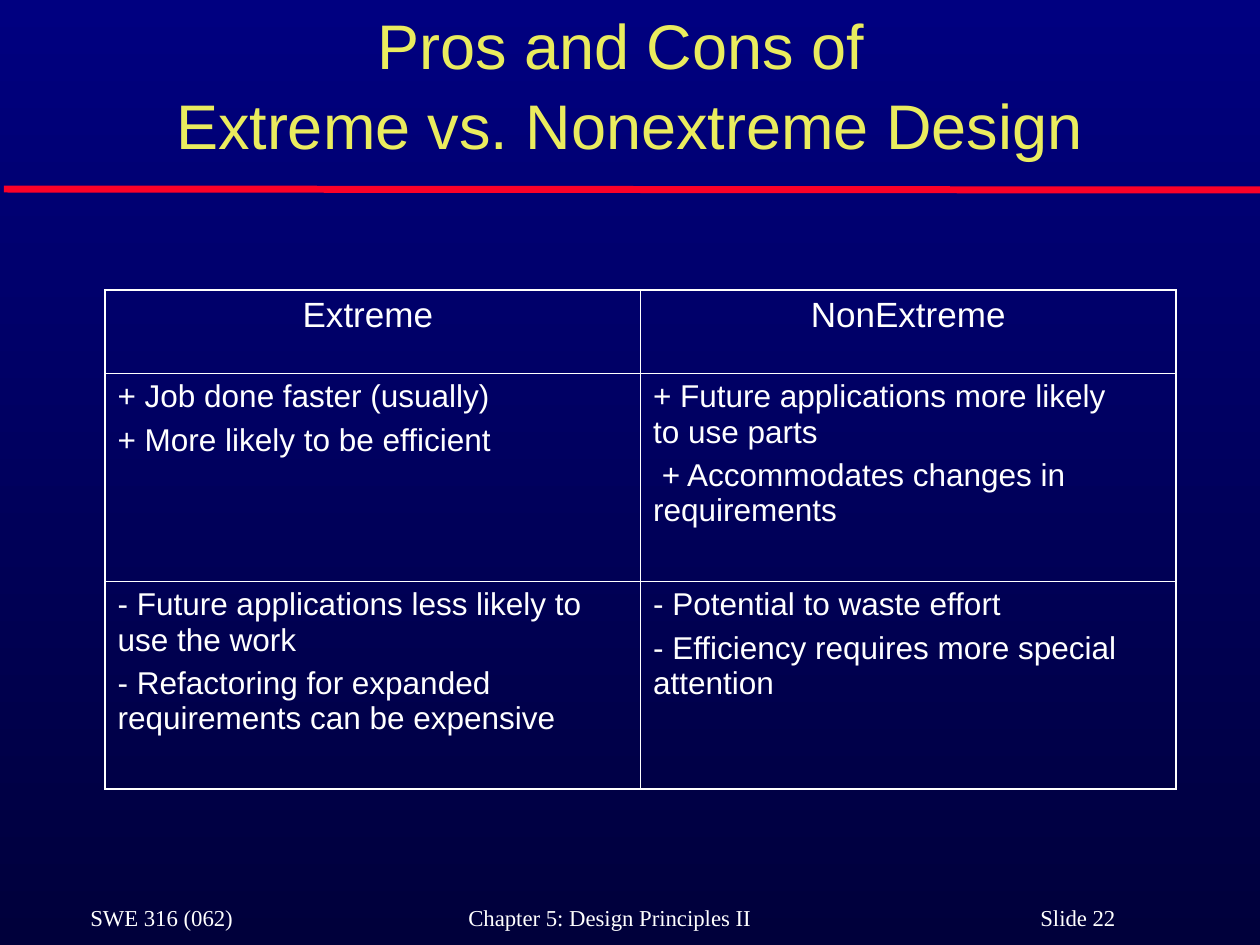
from lxml import etree
from pptx import Presentation
from pptx import util as u
from pptx.dml.color import RGBColor
from pptx.enum import shapes, text
from pptx.oxml import ns

PX_PER_INCH = 126
WHITE, YELLOW, RED = "FFFFFF", "EAEC5E", "FC0128"
OUTER_BORDER, INNER_BORDER = 1.08, 0.45

ROWS = [
    (["Extreme "], ["NonExtreme"]),
    (["+ Job done faster (usually)", "+ More likely to be efficient"],
     ["+ Future applications more likely\vto use parts",
      " + Accommodates changes in requirements"]),
    (["- Future applications less likely to use the work",
      "- Refactoring for expanded requirements can be expensive"],
     ["- Potential to waste effort",
      "- Efficiency requires more special attention"]),
]


def px(length):
    return u.Emu(round(length * 914400 / PX_PER_INCH))


def color(hex_string):
    return RGBColor.from_string(hex_string)


def set_font(paragraph, name, size, hex_string):
    font = paragraph.font
    font.name, font.size = name, u.Pt(size)
    font.color.rgb = color(hex_string)


def set_background(slide, top, bottom):
    fill = slide.background.fill
    fill.gradient()
    fill.gradient_angle = 270
    for stop, hex_string, position in zip(fill.gradient_stops, (top, bottom), (0, 1)):
        stop.color.rgb = color(hex_string)
        stop.position = position


def add_rule(slide):
    rule = slide.shapes.add_connector(
        shapes.MSO_CONNECTOR.STRAIGHT, px(4), px(189), px(1260), px(190))
    rule.line.color.rgb = color(RED)
    rule.line.width = u.Pt(4)
    etree.SubElement(rule._element.spPr, ns.qn("a:effectLst"))


def format_title(slide):
    title = slide.shapes.title
    title.left, title.top, title.width, title.height = px(92), px(42), px(1075), px(126)
    frame = title.text_frame
    frame.text = "Pros and Cons of \vExtreme vs. Nonextreme Design"
    frame.word_wrap = True
    frame.auto_size = text.MSO_AUTO_SIZE.NONE
    frame.vertical_anchor = text.MSO_ANCHOR.BOTTOM
    paragraph = frame.paragraphs[0]
    paragraph.alignment = text.PP_ALIGN.CENTER
    paragraph.line_spacing = 1.05
    set_font(paragraph, "Arial", 36, YELLOW)


def add_footer(slide):
    frame = slide.shapes.add_textbox(px(78), px(898), px(1124), px(40)).text_frame
    frame.word_wrap = True
    paragraph = frame.paragraphs[0]
    paragraph.text = "SWE 316 (062)\tChapter 5: Design Principles II\tSlide 22"
    properties = paragraph._p.get_or_add_pPr()
    tabs = etree.SubElement(properties, ns.qn("a:tabLst"))
    for position in (378, 950):
        etree.SubElement(tabs, ns.qn("a:tab"), pos=str(px(position)), algn="l")
    set_font(paragraph, "Times New Roman", 13, WHITE)


def set_borders(cell, outer_sides):
    """Draw all four sides, heavier where the side is on the table's edge."""
    properties = cell._tc.get_or_add_tcPr()
    for side in "LRTB":
        width = OUTER_BORDER if side in outer_sides else INNER_BORDER
        line = etree.SubElement(properties, ns.qn(f"a:ln{side}"), w=str(u.Pt(width)))
        fill = etree.SubElement(line, ns.qn("a:solidFill"))
        etree.SubElement(fill, ns.qn("a:srgbClr"), val=WHITE)


def fill_cell(cell, lines, is_header):
    frame = cell.text_frame
    frame.text = "\n".join(lines)
    for index, paragraph in enumerate(frame.paragraphs):
        if is_header:
            paragraph.alignment = text.PP_ALIGN.CENTER
        if index:
            paragraph.space_before = u.Pt(4.5)
        set_font(paragraph, "Arial", 20 if is_header else 18, WHITE)


def add_comparison_table(slide):
    table = slide.shapes.add_table(
        len(ROWS), 2, px(105), px(290), px(1071), px(499)).table
    table.first_row = table.horz_banding = False
    for row, height in zip(table.rows, (83, 208, 208)):
        row.height = px(height)
    for row_index, row in enumerate(ROWS):
        for column_index, lines in enumerate(row):
            cell = table.cell(row_index, column_index)
            fill_cell(cell, lines, is_header=row_index == 0)
            outer_sides = "LR"[column_index] + ("T", "", "B")[row_index]
            set_borders(cell, outer_sides)
            cell.fill.background()


def main():
    presentation = Presentation()
    presentation.slide_width, presentation.slide_height = px(1260), px(945)
    slide = presentation.slides.add_slide(presentation.slide_layouts[5])
    set_background(slide, "000080", "00003B")
    add_rule(slide)
    add_footer(slide)
    format_title(slide)
    add_comparison_table(slide)
    presentation.save("out.pptx")


if __name__ == "__main__":
    main()
